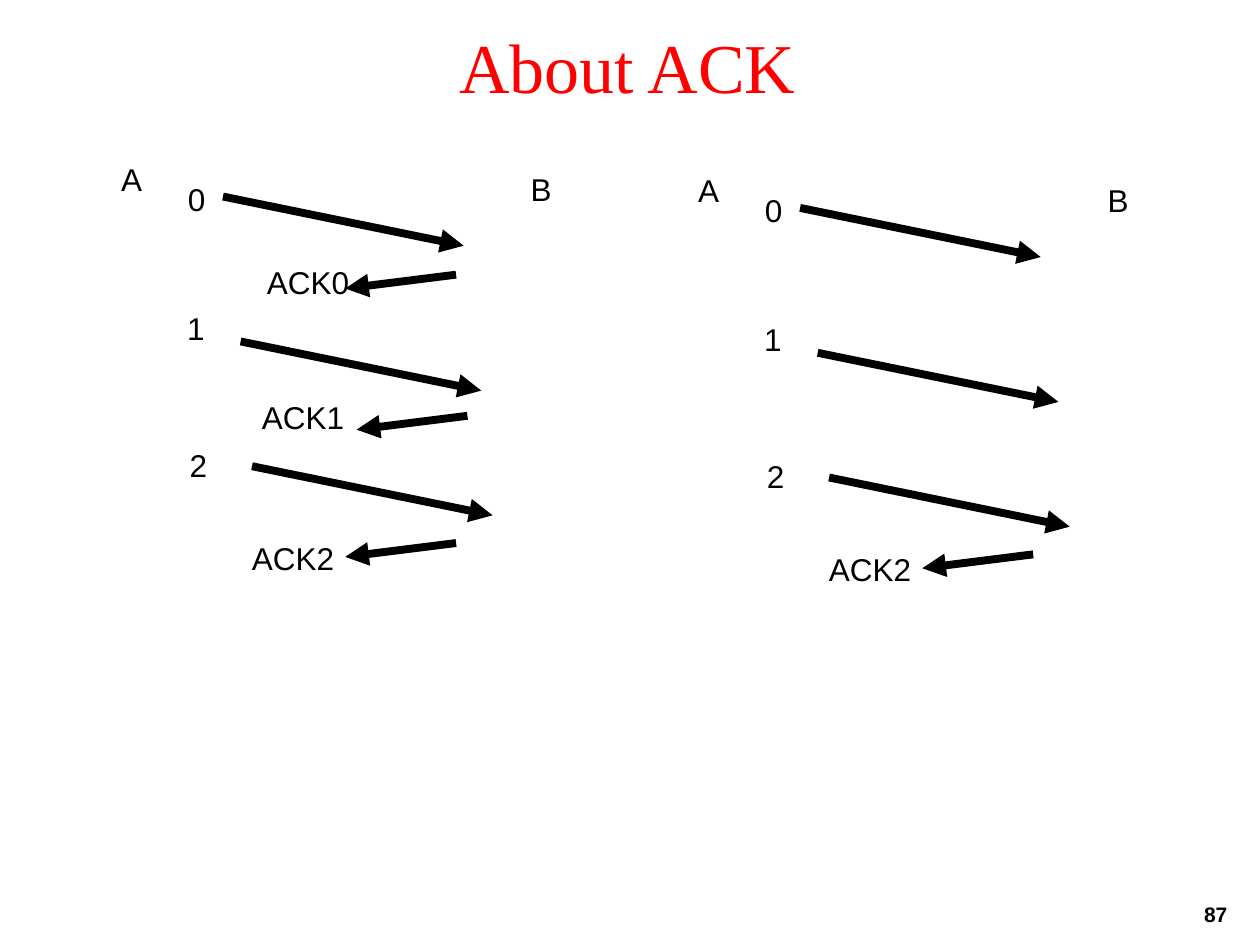
from pptx import Presentation
from pptx.dml.color import RGBColor
from pptx.enum.shapes import MSO_CONNECTOR
from pptx.enum.text import MSO_ANCHOR, MSO_AUTO_SIZE, PP_ALIGN
from pptx.oxml.ns import qn
from pptx.util import Inches, Pt
from lxml import etree

LEFT, MID, RIGHT = PP_ALIGN.LEFT, PP_ALIGN.CENTER, PP_ALIGN.RIGHT
NONE, GROW = MSO_AUTO_SIZE.NONE, MSO_AUTO_SIZE.SHAPE_TO_FIT_TEXT
STRAIGHT = MSO_CONNECTOR.STRAIGHT
MIDDLE = MSO_ANCHOR.MIDDLE

THEME = {
    "ink": RGBColor(0, 0, 0),
    "accent": RGBColor(255, 0, 0),
    "head": ("Times New Roman", 40),
    "body": ("Arial", 18),
    "page": ("Arial", 12),
    "line": 4.5,
}

TITLE = "About ACK"
PAGE = "87"
ENDS = [("A", 0.86, 1.22, 0.37), ("B", 4.11, 1.3, 0.37)]
FRAMES = [
    (("0", 1.39, 1.38, 0.34), (1.77, 1.56)),
    (("1", 0.92, 2.4, 1.27), (1.91, 2.71)),
    (("2", 0.94, 3.49, 1.27), (2, 3.7)),
]
ACKS = [
    (("ACK0", 2.02, 2.04, 0.85), (3.62, 2.18)),
    (("ACK1", 1.98, 3.11, 0.85), (3.71, 3.3)),
    (("ACK2", 1.9, 4.23, 0.85), (3.62, 4.31)),
]
SEND = (1.91, 0.39)
REPLY = (-0.88, 0.11)
PANELS = [((0, 0), ACKS), ((4.58, 0.09), ACKS[-1:])]


def write(frame, text, style, color, align, bold=False):
    par = frame.paragraphs[0]
    par.alignment = align
    run = par.add_run()
    run.text = text
    face, size = THEME[style]
    run.font.name = face
    run.font.size = Pt(size)
    run.font.bold = bold
    run.font.color.rgb = THEME[color]


def label(slide, item, shift, align):
    text, x, y, width = item
    box = slide.shapes.add_textbox(
        Inches(x + shift[0]), Inches(y + shift[1]), Inches(width), Inches(0.4))
    frame = box.text_frame
    frame.word_wrap = width > 1
    frame.auto_size = GROW
    write(frame, text, "body", "ink", align)


def arrow(slide, start, step, shift):
    x, y = start[0] + shift[0], start[1] + shift[1]
    line = slide.shapes.add_connector(
        STRAIGHT, Inches(x), Inches(y), Inches(x + step[0]), Inches(y + step[1]))
    line.line.color.rgb = THEME["ink"]
    line.line.width = Pt(THEME["line"])
    etree.SubElement(line.line._get_or_add_ln(), qn("a:tailEnd"), type="triangle")
    etree.SubElement(line._element.spPr, qn("a:effectLst"))


def panel(slide, shift, acks):
    for item in ENDS:
        label(slide, item, shift, MID)
    for rows, step, align in ((FRAMES, SEND, MID), (acks, REPLY, LEFT)):
        for item, start in rows:
            arrow(slide, start, step, shift)
            label(slide, item, shift, align)


def main():
    deck = Presentation()
    deck.slide_width, deck.slide_height = Inches(10), Inches(7.5)
    slide = deck.slides.add_slide(deck.slide_layouts[5])

    title = slide.shapes.title
    title.left, title.top = Inches(0.17), Inches(0.11)
    title.width, title.height = Inches(9.62), Inches(0.82)
    title.text_frame.auto_size = NONE
    title.text_frame.vertical_anchor = MIDDLE
    write(title.text_frame, TITLE, "head", "accent", MID)

    for shift, acks in PANELS:
        panel(slide, shift, acks)

    page = slide.shapes.add_textbox(
        Inches(7.76), Inches(7.11), Inches(2.08), Inches(0.2))
    page.text_frame.word_wrap = True
    write(page.text_frame, PAGE, "page", "ink", RIGHT, True)

    deck.save("out.pptx")


if __name__ == "__main__":
    main()
